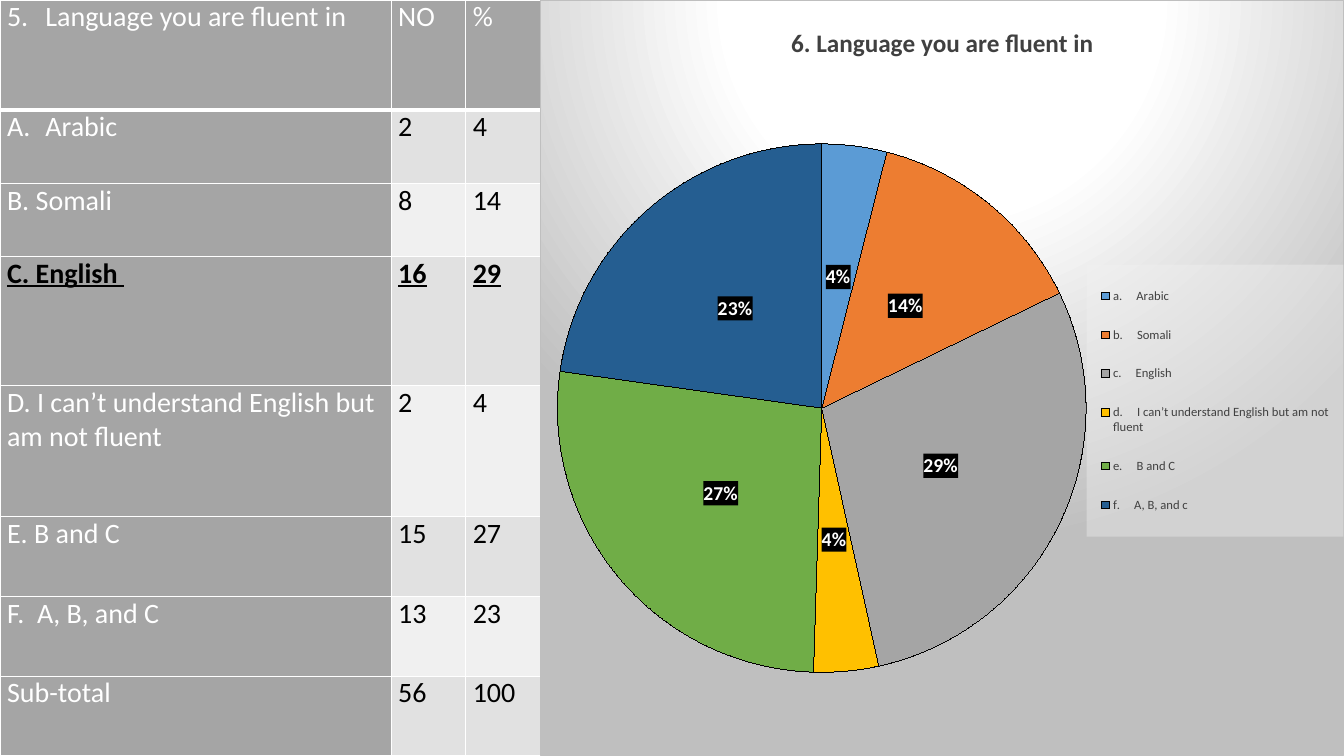
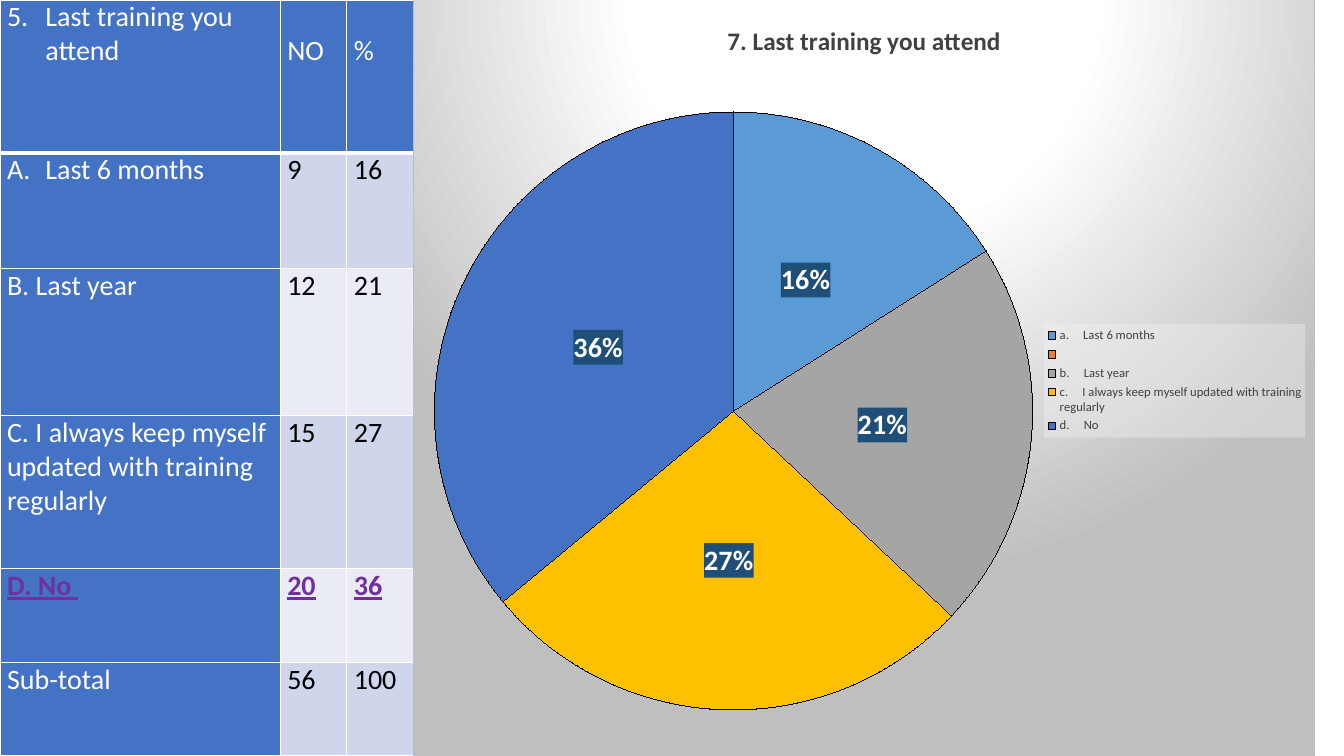
from dataclasses import dataclass

from lxml import etree
from pptx import Presentation
from pptx.chart.data import CategoryChartData
from pptx.dml.color import RGBColor
from pptx.enum.chart import XL_CHART_TYPE, XL_LABEL_POSITION, XL_LEGEND_POSITION
from pptx.oxml import parse_xml
from pptx.oxml.ns import qn
from pptx.util import Inches, Pt

PIE = XL_CHART_TYPE.PIE
LABEL_CENTER = XL_LABEL_POSITION.CENTER
LEGEND_RIGHT = XL_LEGEND_POSITION.RIGHT

SLIDE_WIDTH, SLIDE_HEIGHT = 13.33, 7.5
FONT = "Calibri"
WHITE, BLACK, DARK_GREY, MID_GREY, PALE_GREY = "FFFFFF", "000000", "404040", "BFBFBF", "F2F2F2"
PIE_COLOURS = ["5B9BD5", "ED7D31", "A5A5A5", "FFC000", "4472C4", "70AD47", "255E91"]
TABLE_FONT_SIZE = 20
NUMBER_INDENT = 0.38
LETTER_GAP = "     "
NAMESPACES = (
    'xmlns:a="http://schemas.openxmlformats.org/drawingml/2006/main" '
    'xmlns:c="http://schemas.openxmlformats.org/drawingml/2006/chart"'
)


@dataclass
class Box:
    left: float
    top: float
    width: float
    height: float

    def inches(self):
        return [Inches(v) for v in (self.left, self.top, self.width, self.height)]


@dataclass
class Theme:
    """Colours of a table; bands alternate from the first body row."""
    header: str
    bands: tuple
    highlight: str
    label_fill: str


GREY_THEME = Theme("A5A5A5", ("E1E1E1", "F0F0F0"), BLACK, BLACK)
BLUE_THEME = Theme("4472C4", ("CFD5EA", "E9EBF5"), "7030A0", "1F4E79")


def colour(hex_text):
    return RGBColor.from_string(hex_text)


def style_font(font, size, hex_text, bold=False):
    font.name = FONT
    font.size = Pt(size)
    font.bold = bold
    font.color.rgb = colour(hex_text)


def solid_fill_xml(hex_text, alpha=100):
    return (f'<a:solidFill><a:srgbClr val="{hex_text}">'
            f'<a:alpha val="{alpha * 1000}"/></a:srgbClr></a:solidFill>')


def shape_properties(content):
    return parse_xml(f"<c:spPr {NAMESPACES}>{content}</c:spPr>")


def gradient_panel():
    stops = "".join(
        f'<a:gs pos="{share * 1000}"><a:srgbClr val="{hex_text}"/></a:gs>'
        for share, hex_text in ((0, WHITE), (39, WHITE), (100, MID_GREY))
    )
    return shape_properties(
        f'<a:gradFill><a:gsLst>{stops}</a:gsLst><a:path path="circle">'
        '<a:fillToRect l="50000" t="-80000" r="50000" b="180000"/></a:path></a:gradFill>'
        f'<a:ln w="9525">{solid_fill_xml(MID_GREY)}</a:ln>'
    )


def manual_layout(shares, inner=False):
    """Place a chart part by left, top, width and height as shares of the chart."""
    target = '<c:layoutTarget val="inner"/>' if inner else ""
    modes = '<c:xMode val="edge"/><c:yMode val="edge"/>'
    sizes = "".join(f'<c:{tag} val="{share}"/>' for tag, share in zip("xywh", shares))
    return parse_xml(f"<c:layout {NAMESPACES}><c:manualLayout>{target}{modes}{sizes}"
                     "</c:manualLayout></c:layout>")


def add_cell_borders(cell, bottom_width):
    properties = cell._tc.get_or_add_tcPr()
    for side, width in (("L", 1), ("R", 1), ("T", 1), ("B", bottom_width)):
        properties.append(parse_xml(
            f'<a:ln{side} {NAMESPACES} w="{Pt(width)}">{solid_fill_xml(WHITE)}</a:ln{side}>'))


def number_paragraph(paragraph, scheme, start):
    properties = paragraph._p.get_or_add_pPr()
    properties.set("marL", str(Inches(NUMBER_INDENT)))
    properties.set("indent", str(-Inches(NUMBER_INDENT)))
    bullet = etree.SubElement(properties, qn("a:buAutoNum"), type=scheme)
    if start > 1:
        bullet.set("startAt", str(start))


def fill_cell(cell, text, fill, text_colour, numbering=None, highlighted=False, bottom_width=1):
    add_cell_borders(cell, bottom_width)
    cell.fill.solid()
    cell.fill.fore_color.rgb = colour(fill)
    cell.margin_left = cell.margin_right = Inches(0.07)
    cell.margin_top = cell.margin_bottom = 0
    cell.text = text
    paragraph = cell.text_frame.paragraphs[0]
    if numbering:
        number_paragraph(paragraph, *numbering)
    style_font(paragraph.font, TABLE_FONT_SIZE, text_colour, highlighted)
    paragraph.font.underline = highlighted


def add_result_table(slide, box, rows, column_weights, row_weights, theme, highlight_row,
                     heading_drop=0):
    """heading_drop lowers the headings of the two number columns, in inches."""
    table = slide.shapes.add_table(len(rows), len(column_weights), *box.inches()).table
    for column, weight in zip(table.columns, column_weights):
        column.width = Inches(box.width * weight / sum(column_weights))
    for row, weight in zip(table.rows, row_weights):
        row.height = Inches(box.height * weight / sum(row_weights))

    numberings = {0: ("arabicPeriod", 5), 1: ("alphaUcPeriod", 1)}
    for row_index, values in enumerate(rows):
        is_header = row_index == 0
        highlighted = row_index == highlight_row
        for column_index, text in enumerate(values):
            is_label = column_index == 0
            fill = theme.header if is_header or is_label else theme.bands[(row_index - 1) % 2]
            text_colour = WHITE if is_header or is_label else BLACK
            cell = table.cell(row_index, column_index)
            fill_cell(cell, text, fill,
                      theme.highlight if highlighted else text_colour,
                      numberings.get(row_index) if is_label else None,
                      highlighted, 3 if is_header else 1)
            if is_header and not is_label:
                cell.margin_top = Inches(heading_drop)


def lettered(answers):
    """Put a., b., c. before each answer; an empty answer takes no letter."""
    letters = iter("abcdefg")
    return [f"{next(letters)}.{LETTER_GAP}{answer}" if answer else "" for answer in answers]


def style_legend(chart, shares, hidden_entries):
    chart.has_legend = True
    legend = chart.legend
    legend.position = LEGEND_RIGHT
    legend.include_in_layout = False
    style_font(legend.font, 9, DARK_GREY)
    element = chart.element.xpath(".//c:legend")[0]
    for old_layout in element.findall(qn("c:layout")):
        element.remove(old_layout)
    position = element.find(qn("c:legendPos"))
    position.addnext(manual_layout(shares))
    for entry in hidden_entries:
        position.addnext(parse_xml(
            f'<c:legendEntry {NAMESPACES}><c:idx val="{entry}"/><c:delete val="1"/>'
            "</c:legendEntry>"))
    element.find(qn("c:txPr")).addprevious(
        shape_properties(solid_fill_xml(PALE_GREY, 39)))


def style_slices(series, label_size, label_fill):
    for index, hex_text in enumerate(PIE_COLOURS[:len(series.values)]):
        slice_format = series.points[index].format
        slice_format.fill.solid()
        slice_format.fill.fore_color.rgb = colour(hex_text)
        slice_format.line.color.rgb = colour(BLACK)
        slice_format.line.width = 0
    labels = series.data_labels
    labels.show_percentage = True
    labels.show_value = False
    labels.number_format = "0%"
    labels.number_format_is_linked = False
    labels.position = LABEL_CENTER
    style_font(labels.font, label_size, WHITE, True)
    labels._element.find(qn("c:txPr")).addprevious(
        shape_properties(solid_fill_xml(label_fill)))


def add_answer_pie(slide, box, title, answers, theme, label_size, pie_shares, legend_shares,
                   hidden_entries=()):
    data = CategoryChartData()
    data.categories = lettered([answer for answer, _ in answers])
    data.add_series(title, [percent for _, percent in answers])
    chart = slide.shapes.add_chart(PIE, *box.inches(), data).chart
    style_font(chart.font, 10, BLACK)
    chart.element.find(qn("c:txPr")).addprevious(gradient_panel())

    chart.has_title = True
    title_frame = chart.chart_title.text_frame
    title_frame.text = title
    style_font(title_frame.paragraphs[0].font, 18, DARK_GREY, True)

    plot = chart.plots[0]
    plot.vary_by_categories = True
    style_slices(plot.series[0], label_size, theme.label_fill)
    style_legend(chart, legend_shares, hidden_entries)

    plot_area = chart.element.xpath(".//c:plotArea")[0]
    for old_layout in plot_area.findall(qn("c:layout")):
        plot_area.remove(old_layout)
    plot_area.insert(0, manual_layout(pie_shares, inner=True))


def build_language_slide(slide):
    table_width = 5.36
    add_result_table(
        slide, Box(0, 0, table_width, SLIDE_HEIGHT),
        [("Language you are fluent in", "NO", "%"),
         ("Arabic", "2", "4"),
         ("B. Somali", "8", "14"),
         ("C. English ", "16", "29"),
         ("D. I can’t understand English but am not fluent", "2", "4"),
         ("E. B and C", "15", "27"),
         ("F.  A, B, and C", "13", "23"),
         ("Sub-total", "56", "100")],
        (3.88, 0.74, 0.74), (1.09, 0.73, 0.72, 1.28, 1.3, 0.79, 0.79, 0.79),
        GREY_THEME, highlight_row=3)
    add_answer_pie(
        slide, Box(table_width, 0, SLIDE_WIDTH - table_width, SLIDE_HEIGHT),
        "6. Language you are fluent in",
        [("Arabic", 4), ("Somali", 14), ("English", 29),
         ("I can’t understand English but am not fluent", 4), ("", None),
         ("B and C", 27), ("A, B, and c", 23)],
        GREY_THEME, 14, (0.02, 0.19, 0.66, 0.7), (0.68, 0.35, 0.32, 0.36),
        hidden_entries=(4,))


def build_training_slide(slide):
    table_width = 4.1
    add_result_table(
        slide, Box(0, 0, table_width, SLIDE_HEIGHT),
        [("Last training you attend", "NO", "%"),
         ("Last 6 months", "9", "16"),
         ("B. Last year", "12", "21"),
         ("C. I always keep myself updated with training regularly", "15", "27"),
         ("D. No ", "20", "36"),
         ("Sub-total", "56", "100")],
        (2.78, 0.66, 0.66), (1.52, 1.15, 1.46, 1.52, 0.93, 0.93),
        BLUE_THEME, highlight_row=4, heading_drop=0.34)
    add_answer_pie(
        slide, Box(table_width, -0.02, 8.94, SLIDE_HEIGHT + 0.02),
        "7. Last training you attend",
        [("Last 6 months", 16), ("", None), ("Last year", 21),
         ("I always keep myself updated with training regularly", 27), ("No", 36)],
        BLUE_THEME, 20, (0.02, 0.15, 0.67, 0.79), (0.7, 0.43, 0.29, 0.15))


def main():
    presentation = Presentation()
    presentation.slide_width = Inches(SLIDE_WIDTH)
    presentation.slide_height = Inches(SLIDE_HEIGHT)
    blank_layout = presentation.slide_layouts[6]
    for build_slide in (build_language_slide, build_training_slide):
        build_slide(presentation.slides.add_slide(blank_layout))
    presentation.save("out.pptx")


if __name__ == "__main__":
    main()
